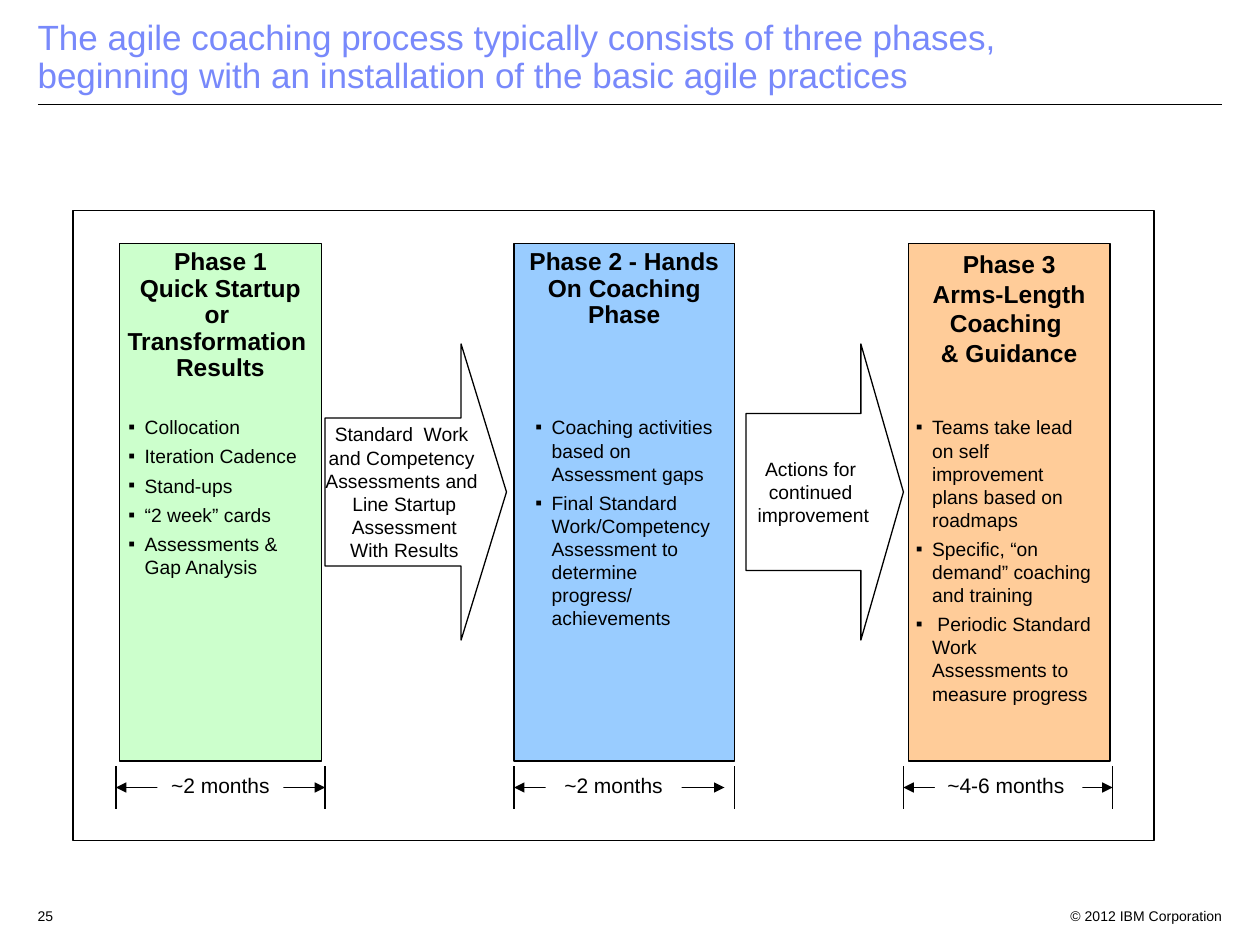
from lxml.etree import SubElement
from pptx import Presentation
from pptx.dml.color import RGBColor
from pptx.enum.shapes import MSO_CONNECTOR, MSO_SHAPE
from pptx.enum.text import MSO_ANCHOR, PP_ALIGN
from pptx.oxml.ns import qn
from pptx.util import Emu, Pt

PX = 9144  # 100 px to the inch
HUES = {
    "ink": "000000",
    "paper": "FFFFFF",
    "title": "7889FB",
    "green": "CCFFCC",
    "blue": "99CCFF",
    "orange": "FFCC99",
}
LEFT, MID, RIGHT = PP_ALIGN.LEFT, PP_ALIGN.CENTER, PP_ALIGN.RIGHT

# Heading, fill, left, width, line spacing, wrap
PHASES = [
    ("Phase 1\nQuick Startup\nor \nTransformation \nResults", "green", 95, 160, 0.9, False),
    ("Phase 2 - Hands On Coaching Phase", "blue", 408, 175, 0.9, True),
    ("Phase 3\nArms-Length\nCoaching \n& Guidance", "orange", 721, 160, 1.0, True),
]

# Text, left, width, shaft and head ratios
ARROWS = [
    ("Standard  Work \nand Competency \nAssessments and \nLine Startup\nAssessment\nWith Results",
     258, 144, (0.5, 0.25)),
    ("Actions for \ncontinued \nimprovement", 592, 125, (0.53, 0.27)),
]

# Items, left, width, height
LISTS = [
    ("Collocation\nIteration Cadence\nStand-ups\n“2 week” cards\n"
     "Assessments & Gap Analysis", 92, 160, 157),
    ("Coaching activities based on Assessment gaps\n"
     "Final Standard Work/Competency Assessment to determine progress/ achievements",
     415, 161, 198),
    ("Teams take lead on self improvement plans based on roadmaps\n"
     "Specific, “on demand” coaching and training\n"
     " Periodic Standard Work Assessments to measure progress", 717, 160, 240),
]

# Text, start tick, end tick, arrow end, label left, label width, alignment
SPANS = [
    ("~2 months", 92, 258, 258, 125, 100, MID),
    ("~2 months", 408, 583, 575, 433, 108, MID),
    ("~4-6 months", 717, 883, 883, 742, 117, LEFT),
]


def color(name):
    return RGBColor.from_string(HUES[name])


class Deck:
    def __init__(self, wide, high, font="Arial"):
        self.prs = Presentation()
        self.prs.slide_width, self.prs.slide_height = Emu(wide * PX), Emu(high * PX)
        self.slide = self.prs.slides.add_slide(self.prs.slide_layouts[6])
        self.font = font

    def label(self, shape, text, size, hue="ink", bold=False, align=LEFT,
              space=1.0, wrap=True, anchor=MSO_ANCHOR.TOP, bullet=None):
        """Set and format the text of a shape."""
        frame = shape.text_frame
        frame.text = text
        frame.word_wrap = wrap
        frame.vertical_anchor = anchor
        for i, para in enumerate(frame.paragraphs):
            if bullet:
                self.mark(para, bullet)
                para.space_before = Pt(3.4 if i else 0)
            para.alignment = align
            para.line_spacing = space
            for run in para.runs:
                run.font.name = self.font
                run.font.size = Pt(size)
                run.font.bold = bold
                run.font.color.rgb = color(hue)

    def mark(self, para, sign):
        """Give a paragraph a hanging bullet."""
        props = para._p.get_or_add_pPr()
        props.set("marL", str(13 * PX))
        props.set("indent", str(-13 * PX))
        tint = SubElement(props, qn("a:buClr"))
        SubElement(tint, qn("a:srgbClr"), val=HUES["ink"])
        SubElement(props, qn("a:buFont"), typeface=self.font)
        SubElement(props, qn("a:buChar"), char=sign)

    def text(self, box, text, size, **style):
        shape = self.slide.shapes.add_textbox(*(Emu(n * PX) for n in box))
        self.label(shape, text, size, **style)

    def shape(self, box, kind=MSO_SHAPE.RECTANGLE, fill=None, edge=True, adjust=()):
        shape = self.slide.shapes.add_shape(kind, *(Emu(n * PX) for n in box))
        shape.shadow.inherit = False
        for i, ratio in enumerate(adjust):
            shape.adjustments[i] = ratio
        if fill:
            shape.fill.solid()
            shape.fill.fore_color.rgb = color(fill)
        else:
            shape.fill.background()
        if edge:
            shape.line.color.rgb = color("ink")
            shape.line.width = Pt(0.75)
        else:
            shape.line.fill.background()
        return shape

    def line(self, x1, y1, x2, y2, heads=False):
        line = self.slide.shapes.add_connector(
            MSO_CONNECTOR.STRAIGHT, *(Emu(n * PX) for n in (x1, y1, x2, y2)))
        line.line.color.rgb = color("ink")
        line.line.width = Pt(0.75)
        if heads:
            for end in ("a:headEnd", "a:tailEnd"):
                SubElement(line.line._ln, qn(end), type="triangle")
        SubElement(line._element.spPr, qn("a:effectLst"))


def main():
    deck = Deck(1000, 750)
    deck.line(30, 83, 970, 83)
    deck.text((830, 715, 150, 20), "© 2012 IBM Corporation", 8, align=RIGHT)
    deck.text((20, 715, 40, 20), "25", 8)
    deck.text((20, -8, 863, 89),
              "The agile coaching process typically consists of three phases, "
              "beginning with an installation of the basic agile practices",
              20, hue="title", space=0.9, anchor=MSO_ANCHOR.BOTTOM)

    deck.shape((58, 167, 858, 500))
    for text, fill, left, width, space, wrap in PHASES:
        box = deck.shape((left, 193, width, 411), fill=fill)
        deck.label(box, text, 14, bold=True, align=MID, space=space, wrap=wrap)
    for text, left, width, ratios in ARROWS:
        arrow = deck.shape((left, 273, width, 235), MSO_SHAPE.RIGHT_ARROW, adjust=ratios)
        deck.label(arrow, text, 11, align=MID, wrap=False, anchor=MSO_ANCHOR.MIDDLE)
    for text, left, width, height in LISTS:
        deck.text((left, 325, width, height), text, 11, bullet="▪")

    for text, start, end, tip, left, width, align in SPANS:
        for x in (start, end):
            deck.line(x, 608, x, 642)
        deck.line(start, 625, tip, 625, heads=True)
        plate = deck.shape((left, 608, width, 30), fill="paper", edge=False)
        deck.label(plate, text, 12, align=align)

    deck.prs.save("out.pptx")


if __name__ == "__main__":
    main()
